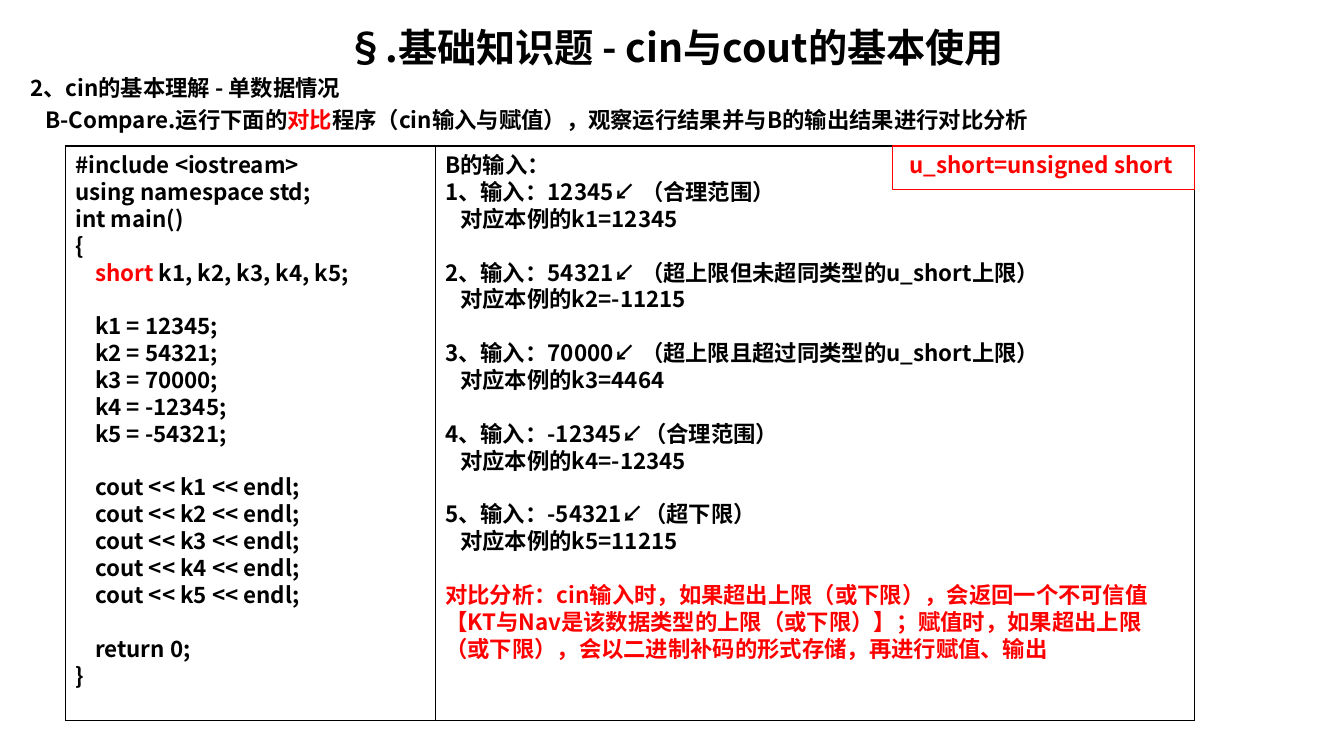
from lxml.etree import SubElement
from pptx import Presentation
from pptx.dml.color import RGBColor
from pptx.enum.shapes import MSO_SHAPE
from pptx.enum.text import MSO_ANCHOR, MSO_AUTO_SIZE, PP_ALIGN
from pptx.oxml.ns import qn
from pptx.util import Cm, Pt

FONT = "Noto Sans CJK SC"
BLACK, RED = "000000", "FF0000"
BODY_SIZE = 16
LINE_RATIO = 1.2
CODE_INDENT, NOTE_INDENT = 0.5, 0.38

PANEL_LEFT, PANEL_TOP, PANEL_HEIGHT = 1.65, 3.68, 14.48
CODE_WIDTH, RESULT_WIDTH = 9.32, 19.13
LABEL_WIDTH, LABEL_HEIGHT = 7.6, 1.09

TITLE = "§.基础知识题 - cin与cout的基本使用"
HEADINGS = [
    (0, "2、cin的基本理解 - 单数据情况"),
    (NOTE_INDENT, "B-Compare.运行下面的|对比|程序（cin输入与赋值），观察运行结果并与B的输出结果进行对比分析"),
]
VALUES = [12345, 54321, 70000, -12345, -54321]
STORED = [12345, -11215, 4464, -12345, 11215]
RANGES = [" （合理范围）", " （超上限但未超同类型的u_short上限）",
          " （超上限且超过同类型的u_short上限）", "（合理范围）", "（超下限）"]
ANALYSIS = ("|对比分析：cin输入时，如果超出上限（或下限），会返回一个不可信值"
            "【KT与Nav是该数据类型的上限（或下限）】；赋值时，如果超出上限（或下限），"
            "会以二进制补码的形式存储，再进行赋值、输出|")


def color(hex_string):
    """Turn a hex string into a colour."""
    return RGBColor.from_string(hex_string)


def apply(target, formats):
    """Set every attribute in a dict of format values."""
    for name, value in formats.items():
        setattr(target, name, value)


def write_line(paragraph, text, size=BODY_SIZE, ink=BLACK, indent=0, before=0,
               align=PP_ALIGN.LEFT):
    """Write one paragraph, with the parts between bars in red."""
    apply(paragraph, {"alignment": align, "space_before": Pt(before),
                      "space_after": Pt(0), "line_spacing": Pt(size * LINE_RATIO)})
    properties = paragraph._p.get_or_add_pPr()
    properties.set("marL", str(Cm(indent)))
    properties.set("indent", "0")
    for position, part in enumerate(text.split("|")):
        if part:
            run = paragraph.add_run()
            run.text = part
            apply(run.font, {"name": FONT, "size": Pt(size), "bold": True})
            run.font.color.rgb = color(RED if position % 2 else ink)
            SubElement(run._r.get_or_add_rPr(), qn("a:ea"), typeface=FONT)


def set_frame(frame):
    """Give a text frame wrapping, fixed size, margins and a top anchor."""
    apply(frame, {"word_wrap": True, "auto_size": MSO_AUTO_SIZE.NONE,
                  "vertical_anchor": MSO_ANCHOR.TOP,
                  "margin_left": Cm(0.25), "margin_right": Cm(0.25),
                  "margin_top": Cm(0.13), "margin_bottom": Cm(0.13)})


def write_groups(frame, groups, gap):
    """Write groups of (indent, text) lines, set apart by a gap."""
    paragraph = None
    for group in groups:
        for row, (indent, text) in enumerate(group):
            before = gap if paragraph is not None and row == 0 else 0
            paragraph = frame.paragraphs[0] if paragraph is None else frame.add_paragraph()
            write_line(paragraph, text, indent=indent, before=before)


def add_panel(slide, left, width, height=PANEL_HEIGHT, ink=BLACK):
    """Add an outlined, unfilled rectangle and return its text frame."""
    panel = slide.shapes.add_shape(MSO_SHAPE.RECTANGLE, Cm(left), Cm(PANEL_TOP),
                                   Cm(width), Cm(height))
    panel.shadow.inherit = False
    panel.fill.background()
    panel.line.color.rgb = color(ink)
    panel.line.width = Pt(0.75)
    set_frame(panel.text_frame)
    return panel.text_frame


def add_headings(slide):
    """Fill the title and the two lines under it."""
    title = slide.shapes.title
    apply(title, {"left": Cm(0.51), "top": Cm(0.46), "width": Cm(33), "height": Cm(1.45)})
    set_frame(title.text_frame)
    write_line(title.text_frame.paragraphs[0], TITLE, size=28, align=PP_ALIGN.CENTER)
    headings = slide.shapes.add_textbox(Cm(0.51), Cm(1.75), Cm(33), Cm(1.8))
    set_frame(headings.text_frame)
    write_groups(headings.text_frame, [[line] for line in HEADINGS], BODY_SIZE * 0.2)


def code_groups():
    """Return the program, one group for each block of lines."""
    opening = ["#include <iostream>", "using namespace std;", "int main()", "{"]
    assignments = [f"k{n} = {value};" for n, value in enumerate(VALUES, 1)]
    outputs = [f"cout << k{n} << endl;" for n in range(1, len(VALUES) + 1)]
    return [
        [(0, text) for text in opening] + [(CODE_INDENT, "|short| k1, k2, k3, k4, k5;")],
        [(CODE_INDENT, text) for text in assignments],
        [(CODE_INDENT, text) for text in outputs],
        [(CODE_INDENT, "return 0;"), (0, "}")],
    ]


def result_groups():
    """Return the inputs with their stored values, then the analysis."""
    groups = [[(0, f"{n}、输入：{value}↙{note}"), (NOTE_INDENT, f"对应本例的k{n}={stored}")]
              for n, (value, note, stored) in enumerate(zip(VALUES, RANGES, STORED), 1)]
    groups[0].insert(0, (0, "B的输入："))
    return groups + [[(0, ANALYSIS)]]


def main():
    """Build the slide and save it."""
    deck = Presentation()
    apply(deck, {"slide_width": Cm(33.87), "slide_height": Cm(19.05)})
    slide = deck.slides.add_slide(deck.slide_layouts[5])
    full_width = CODE_WIDTH + RESULT_WIDTH
    blank_line = BODY_SIZE * LINE_RATIO
    add_panel(slide, PANEL_LEFT, full_width)
    add_headings(slide)
    code = add_panel(slide, PANEL_LEFT, CODE_WIDTH)
    write_groups(code, code_groups(), blank_line)
    results = add_panel(slide, PANEL_LEFT + CODE_WIDTH, RESULT_WIDTH)
    write_groups(results, result_groups(), blank_line)
    label = add_panel(slide, PANEL_LEFT + full_width - LABEL_WIDTH, LABEL_WIDTH,
                      LABEL_HEIGHT, RED)
    write_line(label.paragraphs[0], "u_short=unsigned short ", ink=RED,
               align=PP_ALIGN.CENTER)
    deck.save("out.pptx")


if __name__ == "__main__":
    main()
